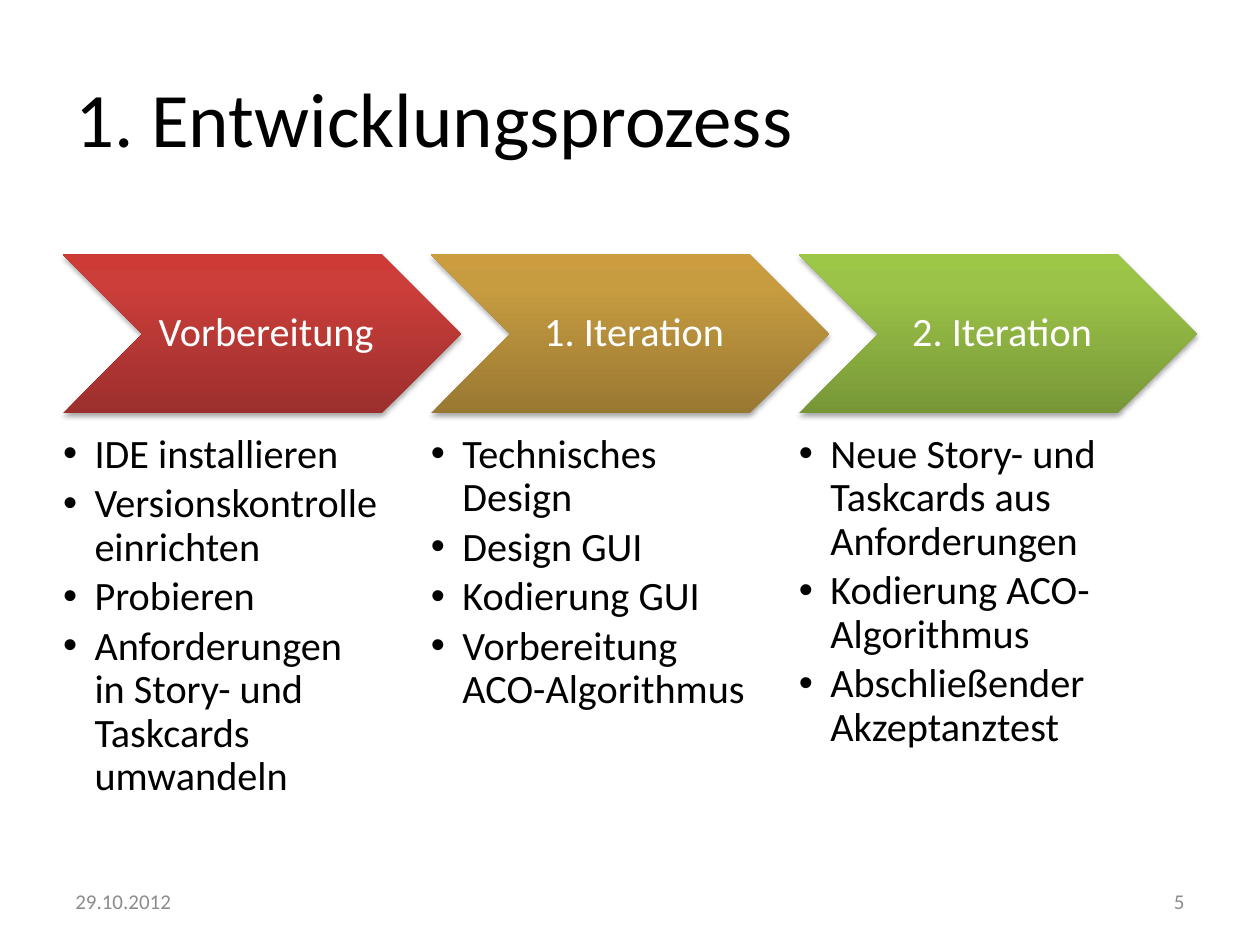
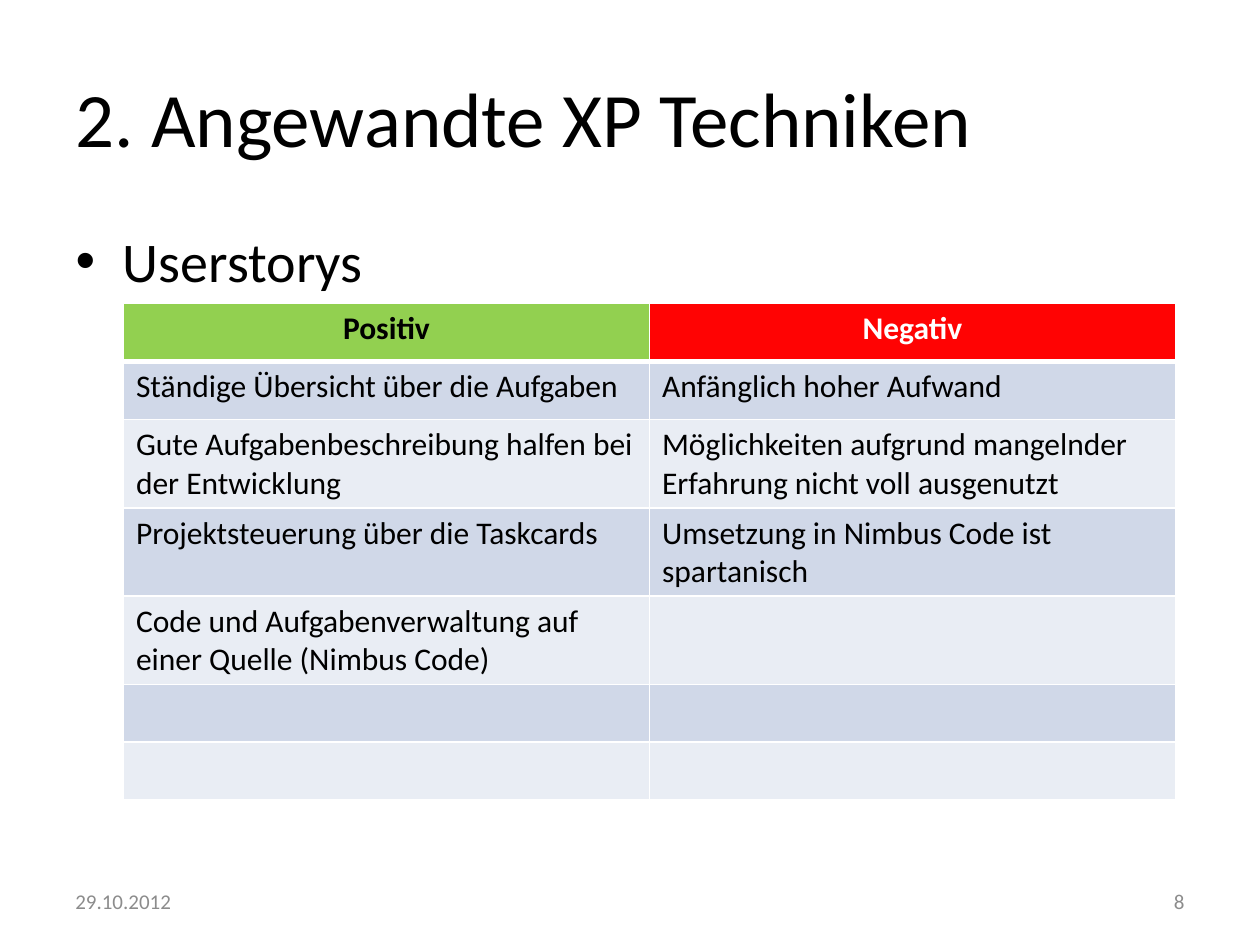
from dataclasses import dataclass

from lxml import etree
from pptx import Presentation
from pptx.dml.color import RGBColor
from pptx.enum.shapes import MSO_SHAPE
from pptx.enum.text import MSO_ANCHOR, PP_ALIGN
from pptx.oxml import parse_xml
from pptx.oxml.ns import nsdecls, qn
from pptx.util import Inches, Pt

CHEVRON = MSO_SHAPE.CHEVRON
MIDDLE, TOP = MSO_ANCHOR.MIDDLE, MSO_ANCHOR.TOP
LEFT, CENTER, RIGHT = PP_ALIGN.LEFT, PP_ALIGN.CENTER, PP_ALIGN.RIGHT
CONTENT_LAYOUT, TITLE_ONLY_LAYOUT = 1, 5

DATE = "29.10.2012"

PROCESS = {
    "title": "1. Entwicklungsprozess",
    "number": "5",
    "phases": [
        ("Vorbereitung", ("9C2F2D", "CB3E3A", "CE3B37"), [
            "IDE installieren",
            "Versionskontrolle einrichten",
            "Probieren",
            "Anforderungen in Story- und Taskcards umwandeln",
        ]),
        ("1. Iteration", ("997832", "C79C41", "CB9D3F"), [
            "Technisches Design",
            "Design GUI",
            "Kodierung GUI",
            "Vorbereitung ACO-Algorithmus",
        ]),
        ("2. Iteration", ("779737", "9BC348", "9DC746"), [
            "Neue Story- und Taskcards aus Anforderungen",
            "Kodierung ACO-Algorithmus",
            "Abschließender Akzeptanztest",
        ]),
    ],
}

TECHNIQUES = {
    "title": "2. Angewandte XP Techniken",
    "number": "8",
    "topic": "Userstorys",
    "headers": [("Positiv", "92D050", "000000"), ("Negativ", "FF0303", "FFFFFF")],
    "rows": [
        ("Ständige Übersicht über die Aufgaben", "Anfänglich hoher Aufwand"),
        ("Gute Aufgabenbeschreibung halfen bei der Entwicklung",
         "Möglichkeiten aufgrund mangelnder Erfahrung nicht voll ausgenutzt"),
        ("Projektsteuerung über die Taskcards",
         "Umsetzung in Nimbus Code ist spartanisch"),
        ("Code und Aufgabenverwaltung auf einer Quelle (Nimbus Code)", ""),
        ("", ""),
        ("", ""),
    ],
}


@dataclass(frozen=True)
class Theme:
    font: str = "Calibri"
    text: str = "000000"
    light: str = "FFFFFF"
    muted: str = "8C8C8C"
    bands: tuple = ("D0D8E8", "E9EDF4")
    title_size: int = 44
    topic_size: int = 32
    phase_size: int = 23
    table_size: int = 18
    footer_size: int = 12


THEME = Theme()
MARGIN, CONTENT_WIDTH = 0.5, 9
FOOTER_WIDTH = 2.33


def place(shape, left, top, width, height):
    shape.left, shape.top = Inches(left), Inches(top)
    shape.width, shape.height = Inches(width), Inches(height)


def write(frame, lines, size, color=THEME.text, bold=False, align=LEFT,
          anchor=None, insets=None, **spacing):
    """Fill a text frame with one uniformly formatted paragraph per line."""
    frame.word_wrap = True
    if anchor is not None:
        frame.vertical_anchor = anchor
    if insets:
        sides = ("left", "top", "right", "bottom")
        for side, inset in zip(sides, insets):
            setattr(frame, f"margin_{side}", Inches(inset))
    frame.text = "\n".join(lines)
    for para in frame.paragraphs:
        for name, value in {"alignment": align, **spacing}.items():
            setattr(para, name, value)
        font = para.font
        for span in para.runs:
            font = span.font
            font.color.rgb = RGBColor.from_string(color)
        for name, value in {"name": THEME.font, "size": Pt(size), "bold": bold}.items():
            setattr(font, name, value)


def add_text(page, bounds, lines, size, **formats):
    box = page.shapes.add_textbox(*map(Inches, bounds))
    write(box.text_frame, lines, size, **formats)
    return box


def add_page(deck, layout, content):
    page = deck.slides.add_slide(deck.slide_layouts[layout])
    title = page.shapes.title
    place(title, MARGIN, 0.3, CONTENT_WIDTH, 1.25)
    write(title.text_frame, [content["title"]], THEME.title_size, anchor=MIDDLE)
    number_left = MARGIN + CONTENT_WIDTH - FOOTER_WIDTH
    for left, text, align in ((MARGIN, DATE, LEFT),
                              (number_left, content["number"], RIGHT)):
        add_text(page, (left, 6.95, FOOTER_WIDTH, 0.4), [text], THEME.footer_size,
                 color=THEME.muted, align=align, anchor=MIDDLE)
    return page


def add_bullets(frame, indent):
    for para in frame.paragraphs:
        props = para._p.get_or_add_pPr()
        props.set("marL", str(Inches(indent)))
        props.set("indent", str(-Inches(indent)))
        etree.SubElement(props, qn("a:buFont"), typeface="Arial")
        etree.SubElement(props, qn("a:buChar"), char="•")


def shade(shape, colors):
    """Give a borderless shape an upward gradient and a soft shadow below."""
    shape.line.fill.background()
    shape.shadow.inherit = False
    stops = "".join(
        f'<a:gs pos="{share * 1000}"><a:srgbClr val="{color}"/></a:gs>'
        for share, color in zip((0, 80, 100), colors))
    gradient = parse_xml(
        f'<a:gradFill {nsdecls("a")} rotWithShape="1"><a:gsLst>{stops}</a:gsLst>'
        '<a:lin ang="16200000" scaled="0"/></a:gradFill>')
    props = shape._element.spPr
    props.find(qn("a:prstGeom")).addnext(gradient)
    props.find(qn("a:effectLst")).append(parse_xml(
        f'<a:outerShdw {nsdecls("a")} blurRad="{Pt(3.1)}" dist="{Pt(1.8)}" '
        'dir="5400000" rotWithShape="0"><a:srgbClr val="000000">'
        '<a:alpha val="35000"/></a:srgbClr></a:outerShdw>'))


def set_borders(cell, top, bottom):
    """Draw white cell borders; top and bottom are widths in points."""
    props = cell._tc.get_or_add_tcPr()
    widths = {"lnL": 1, "lnR": 1, "lnT": top, "lnB": bottom}
    for index, (side, width) in enumerate(widths.items()):
        props.insert(index, parse_xml(
            f'<a:{side} {nsdecls("a")} w="{Pt(width)}"><a:solidFill>'
            f'<a:srgbClr val="{THEME.light}"/></a:solidFill></a:{side}>'))


def build_process(deck):
    page = add_page(deck, TITLE_ONLY_LAYOUT, PROCESS)
    phases = PROCESS["phases"]
    width, height, top = 3.16, 1.26, 2.02
    step = (CONTENT_WIDTH - width) / (len(phases) - 1)
    for index, (name, colors, tasks) in enumerate(phases):
        left = MARGIN + index * step
        chevron = page.shapes.add_shape(
            CHEVRON, *map(Inches, (left, top, width, height)))
        shade(chevron, colors)
        write(chevron.text_frame, [name], THEME.phase_size, color=THEME.light,
              align=CENTER, anchor=MIDDLE, insets=(0.1, 0.03, 0.03, 0.03),
              line_spacing=0.9)
        box = add_text(page, (left, 3.44, 2.52, 3), tasks, THEME.phase_size,
                       anchor=TOP, insets=(0, 0, 0, 0),
                       line_spacing=0.9, space_after=Pt(3.5))
        add_bullets(box.text_frame, 0.25)


def build_techniques(deck):
    page = add_page(deck, CONTENT_LAYOUT, TECHNIQUES)
    body = page.placeholders[1]
    place(body, MARGIN, 1.75, CONTENT_WIDTH, 4.95)
    write(body.text_frame, [TECHNIQUES["topic"]], THEME.topic_size)

    headers, rows = TECHNIQUES["headers"], TECHNIQUES["rows"]
    row_count, row_height = len(rows) + 1, 0.46
    table = page.shapes.add_table(
        row_count, len(headers),
        *map(Inches, (0.98, 2.41, 8.35, row_count * row_height))).table
    for column, (label, fill, color) in enumerate(headers):
        cells = [(label, fill, color)]
        cells += [(row[column], THEME.bands[index % 2], THEME.text)
                  for index, row in enumerate(rows)]
        for index, (text, cell_fill, text_color) in enumerate(cells):
            cell = table.cell(index, column)
            is_header = index == 0
            write(cell.text_frame, [text], THEME.table_size, color=text_color,
                  bold=is_header, align=CENTER if is_header else LEFT)
            cell.fill.solid()
            cell.fill.fore_color.rgb = RGBColor.from_string(cell_fill)
            set_borders(cell, top=3 if index == 1 else 1, bottom=3 if is_header else 1)


def main():
    deck = Presentation()
    deck.slide_width, deck.slide_height = Inches(10), Inches(7.5)
    build_process(deck)
    build_techniques(deck)
    deck.save("out.pptx")


if __name__ == "__main__":
    main()
